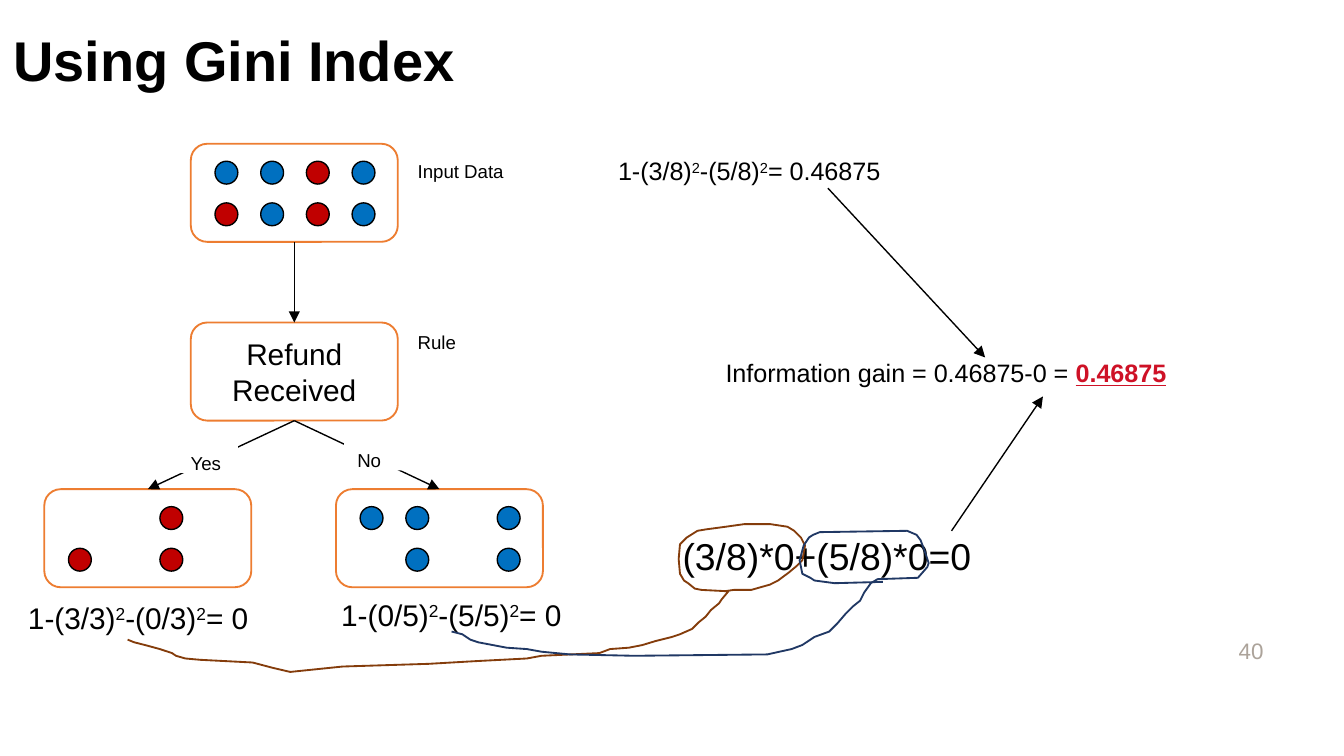
from dataclasses import dataclass

from lxml import etree
from pptx import Presentation
from pptx.dml.color import RGBColor
from pptx.enum import shapes, text
from pptx.oxml.ns import qn
from pptx.util import Inches, Pt


@dataclass(frozen=True)
class Theme:
    """Colours, type sizes and line widths of the slide."""
    font: str = "Arial"
    ink: str = "000000"
    paper: str = "FFFFFF"
    node: str = "ED7D31"
    muted: str = "ACA39A"
    accent: str = "CE1126"
    yes_link: str = "843C0B"
    no_link: str = "203864"
    blue: str = "0070C0"
    red: str = "C00000"
    title: float = 30
    large: float = 20
    body: float = 16
    note: float = 13.5
    page: float = 12
    label: float = 10
    thin: float = 0.75
    thick: float = 1


T = Theme()
NODE_W, NODE_H = 1.54, 0.73
DOT, DOT_X, DOT_Y, DOT_DX, DOT_DY = 0.17, 0.18, 0.13, 0.34, 0.31
YES_LINK = [
    (0, 86), (5, 88), (13, 90), (24, 93), (33, 96), (36, 98), (43, 100), (54, 101),
    (93, 103), (108, 107), (121, 110), (160, 106), (224, 104), (259, 102), (297, 100),
    (308, 98), (351, 96), (359, 93), (373, 92), (383, 90), (393, 87), (405, 84),
    (411, 82), (420, 78), (425, 73), (430, 69), (434, 64), (440, 59), (442, 56),
    (447, 50), (427, 49), (422, 48), (417, 44), (414, 42), (411, 37), (410, 26),
    (411, 15), (416, 10), (424, 5), (430, 4), (445, 2), (459, 0), (478, 0), (491, 2),
    (496, 5), (501, 10), (504, 16), (502, 27), (498, 31), (492, 36), (484, 42),
    (478, 45), (464, 49), (451, 49), (444, 50)]
NO_LINK = [
    (0, 75), (8, 77), (14, 81), (20, 83), (41, 87), (56, 88), (67, 90), (88, 92),
    (136, 93), (235, 92), (244, 90), (253, 88), (261, 85), (270, 79), (281, 75),
    (287, 69), (293, 62), (299, 56), (304, 52), (307, 46), (312, 39), (317, 36),
    (347, 35), (354, 27), (355, 24), (352, 15), (349, 7), (346, 3), (339, 0),
    (274, 1), (269, 3), (266, 5), (262, 11), (259, 22), (261, 32), (267, 35),
    (270, 37), (285, 39), (321, 38)]


def rgb(value):
    """Turn a hex string into a colour."""
    return RGBColor.from_string(value)


def write(sp, runs, size, color=T.ink, align=text.PP_ALIGN.LEFT, anchor=text.MSO_ANCHOR.TOP):
    """Fill a shape with one paragraph of (text, style) runs."""
    tf = sp.text_frame
    tf.word_wrap = True
    tf.vertical_anchor = anchor
    p = tf.paragraphs[0]
    p.alignment = align
    for words, style in runs:
        r = p.add_run()
        r.text = words
        r.font.name, r.font.size = T.font, Pt(size)
        r.font.color.rgb = rgb(T.accent if style == "result" else color)
        if style in ("bold", "result"):
            r.font.bold = True
        if style == "result":
            r.font.underline = True
        if style == "super":
            r.font._element.set("baseline", "30000")
    return p


def text_box(s, x, y, w, h, runs, size, **options):
    """Add a text box and return its paragraph."""
    sp = s.shapes.add_textbox(Inches(x), Inches(y), Inches(w), Inches(h))
    return write(sp, runs, size, **options)


def gini(first, second, result):
    """Return the runs of a Gini formula with its two squares."""
    return [(f"1-({first})", ""), ("2", "super"), (f"-({second})", ""),
            ("2", "super"), (f"= {result}", "")]


def shape(s, kind, x, y, w, h, fill, line=None, width=T.thin):
    """Add a flat preset shape."""
    sp = s.shapes.add_shape(kind, Inches(x), Inches(y), Inches(w), Inches(h))
    sp.shadow.inherit = False
    sp.fill.solid()
    sp.fill.fore_color.rgb = rgb(fill)
    if line:
        sp.line.color.rgb = rgb(line)
        sp.line.width = Pt(width)
    else:
        sp.line.fill.background()
    return sp


def label(s, x, y, w, words):
    """Add a small white label."""
    sp = shape(s, shapes.MSO_SHAPE.RECTANGLE, x, y, w, 0.21, T.paper)
    write(sp, [(words, "")], T.label)


def node(s, x, y, dots=()):
    """Add a tree node with rows of dots: B blue, R red, . empty."""
    sp = shape(s, shapes.MSO_SHAPE.ROUNDED_RECTANGLE, x, y, NODE_W, NODE_H,
               T.paper, T.node, T.thick)
    colors = {"B": T.blue, "R": T.red}
    for row, marks in enumerate(dots):
        for col, mark in enumerate(marks):
            if mark in colors:
                shape(s, shapes.MSO_SHAPE.OVAL, x + DOT_X + col * DOT_DX,
                      y + DOT_Y + row * DOT_DY, DOT, DOT, colors[mark], T.ink)
    return sp


def arrow(s, x1=0, y1=0, x2=0, y2=0):
    """Add a straight arrow."""
    cxn = s.shapes.add_connector(shapes.MSO_CONNECTOR.STRAIGHT,
                                 Inches(x1), Inches(y1), Inches(x2), Inches(y2))
    cxn.line.color.rgb = rgb(T.ink)
    cxn.line.width = Pt(T.thin)
    etree.SubElement(cxn.line._get_or_add_ln(), qn("a:tailEnd"), type="triangle")
    etree.SubElement(cxn._element.spPr, qn("a:effectLst"))
    return cxn


def branch(s, parent, child):
    """Join the bottom of one node to the top of another."""
    cxn = arrow(s)
    cxn.begin_connect(parent, 2)
    cxn.end_connect(child, 0)


def stroke(s, x, y, points, color):
    """Draw a pen stroke through points in hundredths of an inch."""
    builder = s.shapes.build_freeform(*points[0], scale=Inches(1) / 100)
    builder.add_line_segments(points[1:], close=False)
    sp = builder.convert_to_shape(Inches(x), Inches(y))
    sp.shadow.inherit = False
    sp.fill.background()
    sp.line.color.rgb = rgb(color)
    sp.line.width = Pt(T.thick)


def heading(s, x, y, w, h):
    """Place the slide title."""
    p = text_box(s, x, y, w, h, [("Using Gini Index", "bold")], T.title,
                 anchor=text.MSO_ANCHOR.MIDDLE)
    p.line_spacing = 0.9


def page_number(s, x, y, w, h):
    """Place the slide number."""
    text_box(s, x, y, w, h, [("40", "")], T.page, color=T.muted,
             align=text.PP_ALIGN.RIGHT, anchor=text.MSO_ANCHOR.MIDDLE)


def decision_tree(s, x, y):
    """Place the tree with its labels and leaf formulas."""
    rule = node(s, x + 1.32, y + 1.4)
    write(rule, [("Refund Received", "")], T.body, align=text.PP_ALIGN.CENTER,
          anchor=text.MSO_ANCHOR.MIDDLE)
    data = node(s, x + 1.32, y + 0.07, ["BBRB", "RBRB"])
    yes = node(s, x + 0.23, y + 2.64, ["..R.", "R.R."])
    no = node(s, x + 2.4, y + 2.64, ["BB.B", ".B.B"])
    for parent, child in ((data, rule), (rule, yes), (rule, no)):
        branch(s, parent, child)
    for dx, dy, w, words in ((1.22, 2.31, 0.45, "Yes"), (2.46, 2.29, 0.45, "No"),
                             (2.91, 0.14, 1.26, "Input Data"), (2.91, 1.41, 1.26, "Rule")):
        label(s, x + dx, y + dy, w, words)
    text_box(s, x + 0.01, y + 3.41, 1.91, 0.37, gini("3/3", "0/3", "0"), T.body)
    text_box(s, x + 2.34, y + 3.39, 1.91, 0.37, gini("0/5", "5/5", "0"), T.body)


def information_gain(s, x, y):
    """Place the formulas that lead to the information gain."""
    text_box(s, x, y + 0.11, 3.49, 0.5, gini("3/8", "5/8", "0.46875"), T.note)
    text_box(s, x + 0.48, y + 2.92, 2.85, 0.44, [("(3/8)*0+(5/8)*0=0", "")], T.large)
    arrow(s, x + 1.66, y + 0.4, x + 2.83, y + 1.66)
    arrow(s, x + 2.58, y + 2.95, x + 3.26, y + 1.95)
    text_box(s, x + 0.8, y + 1.61, 5.65, 0.5,
             [("Information gain = 0.46875-0 = ", ""), ("0.46875", "result")], T.note)


def pen_links(s, x, y):
    """Link each leaf formula to its circled term."""
    stroke(s, x, y, YES_LINK, T.yes_link)
    stroke(s, x + 2.41, y + 0.05, NO_LINK, T.no_link)


def main():
    """Build and save the slide."""
    prs = Presentation()
    prs.slide_width = Inches(10)
    prs.slide_height = prs.slide_width * 9 // 16
    s = prs.slides.add_slide(prs.slide_layouts[6])
    heading(s, 0, 0, 8.5, 0.94)
    page_number(s, 7.17, 4.69, 2.33, 0.3)
    decision_tree(s, 0.1, 1)
    information_gain(s, 4.5, 1)
    pen_links(s, 0.95, 3.9)
    prs.save("out.pptx")


if __name__ == "__main__":
    main()
